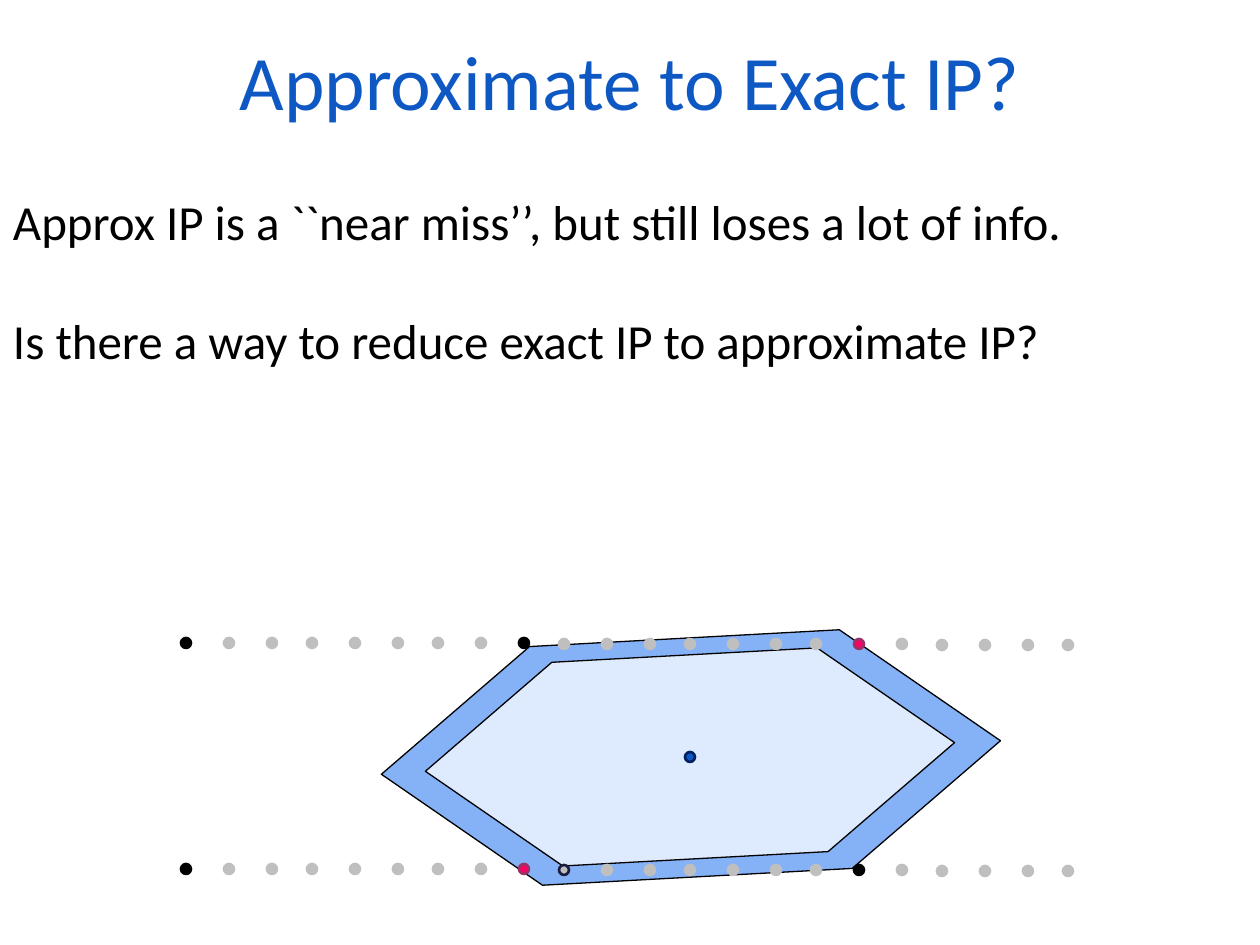
from dataclasses import dataclass

from pptx import Presentation
from pptx import util as u
from pptx.dml.color import RGBColor
from pptx.enum import shapes, text

PX_PER_INCH = 126


def px(length):
    return u.Emu(round(length * 914400 / PX_PER_INCH))


@dataclass(frozen=True)
class Theme:
    font: str = "Calibri"
    title_size: int = 44
    body_size: int = 28
    title: str = "0E58C4"
    ink: str = "000000"
    outer: str = "85B2F6"
    inner: str = "DEEAFD"
    center_edge: str = "002060"
    grid: str = "BFBFBF"
    marked_edge: str = "1B1E3E"
    hit: str = "FF0066"
    hit_edge: str = "993366"


class SlideBuilder:
    def __init__(self, slide, theme):
        self.slide = slide
        self.theme = theme

    def text_box(self, box, lines, size, color, inset=(0, 0)):
        shape = self.slide.shapes.add_textbox(*map(px, box))
        frame = shape.text_frame
        frame.word_wrap = True
        frame.margin_left = frame.margin_right = px(inset[0])
        frame.margin_top = frame.margin_bottom = px(inset[1])
        frame.text = "\n".join(lines)
        for paragraph in frame.paragraphs:
            for run in paragraph.runs:
                run.font.name = self.theme.font
                run.font.size = u.Pt(size)
                run.font.color.rgb = RGBColor.from_string(color)
        return frame

    def shape(self, kind, box, fill, line, line_width):
        shape = self.slide.shapes.add_shape(kind, *map(px, box))
        shape.shadow.inherit = False
        shape.fill.solid()
        shape.fill.fore_color.rgb = RGBColor.from_string(fill)
        shape.line.color.rgb = RGBColor.from_string(line)
        shape.line.width = u.Pt(line_width)
        return shape

    def hexagon(self, box, fill):
        shape = self.shape(shapes.MSO_SHAPE.HEXAGON, box, fill, self.theme.ink, 0.75)
        shape.adjustments[0] = 0.648
        shape.adjustments[1] = 1.155
        shape.rotation = 356.9

    def dot(self, left, top, fill, line):
        self.shape(shapes.MSO_SHAPE.OVAL, (left, top, 10, 10), fill, line, 1.5)

    def dot_row(self, top, special):
        """Draw 22 dots, three to the inch, sinking 1 px every nine dots."""
        plain = (self.theme.grid, self.theme.grid)
        for index in range(22):
            inch, third = divmod(index, 3)
            left = 181 + inch * PX_PER_INCH + third * 43
            self.dot(left, top + index // 9, *special.get(index, plain))


def main():
    theme = Theme()
    presentation = Presentation()
    presentation.slide_width = px(1260)
    presentation.slide_height = px(945)
    slide = presentation.slides.add_slide(presentation.slide_layouts[6])
    builder = SlideBuilder(slide, theme)

    builder.hexagon((381, 638, 620, 239), theme.outer)
    title = builder.text_box((0, 29, 1260, 97), ["Approximate to Exact IP?"],
                             theme.title_size, theme.title)
    title.vertical_anchor = text.MSO_ANCHOR.BOTTOM
    title.paragraphs[0].alignment = text.PP_ALIGN.CENTER
    title.paragraphs[0].line_spacing = u.Pt(58)

    builder.hexagon((425, 655, 530, 204), theme.inner)
    builder.dot(685, 752, theme.title, theme.center_edge)

    black = (theme.ink, theme.ink)
    hit = (theme.hit, theme.hit_edge)
    marked = (theme.grid, theme.marked_edge)
    builder.dot_row(638, {0: black, 8: black, 16: hit})
    builder.dot_row(864, {0: black, 8: hit, 9: marked, 16: black})

    body = builder.text_box(
        (0, 186, 1201, 189),
        ["Approx IP is a ``near miss’’, but still loses a lot of info.",
         "Is there a way to reduce exact IP to approximate IP?"],
        theme.body_size, theme.ink, inset=(13, 6))
    body.paragraphs[1].space_before = u.Pt(34)

    presentation.save("out.pptx")


if __name__ == "__main__":
    main()
